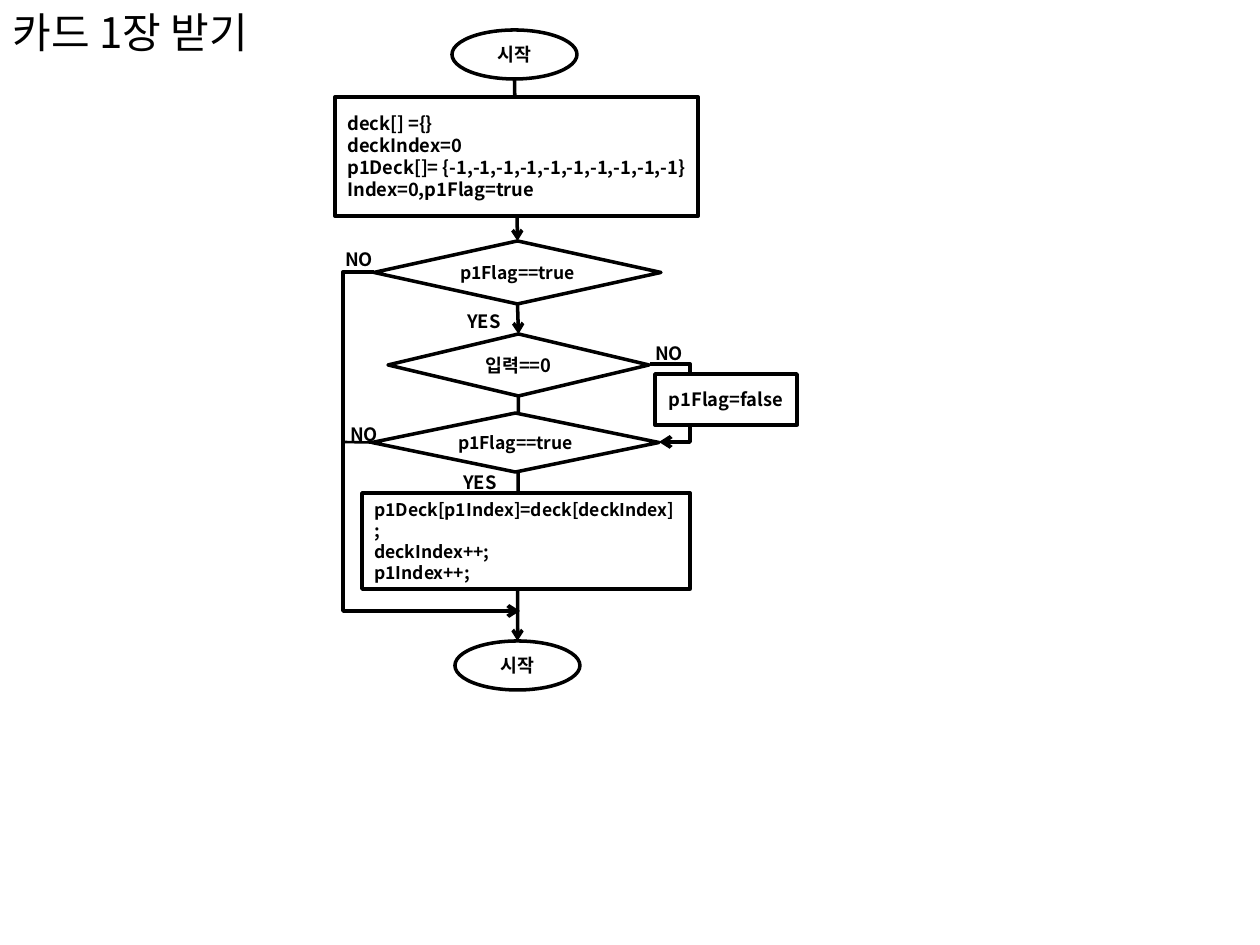
"""Build a flowchart slide for drawing one card."""
import pptx
import pptx.dml.color
import pptx.enum.shapes
import pptx.enum.text
import pptx.oxml
import pptx.oxml.ns
import pptx.util

BLACK = pptx.dml.color.RGBColor(0, 0, 0)
WHITE = pptx.dml.color.RGBColor(255, 255, 255)
FONT = "Noto Sans CJK KR"
SCALE = 914400 / 126
KIND = pptx.enum.shapes.MSO_SHAPE
LINK = pptx.enum.shapes.MSO_CONNECTOR
ALIGN = pptx.enum.text.PP_ALIGN
ANCHOR = pptx.enum.text.MSO_ANCHOR
TOP, LEFT, BOTTOM = 0, 1, 2


def px(*sizes):
    return [pptx.util.Emu(round(size * SCALE)) for size in sizes]


def node(tag, **attrs):
    item = pptx.oxml.parse_xml(f"<a:{tag} {pptx.oxml.ns.nsdecls('a')}/>")
    for name, value in attrs.items():
        item.set(name, value)
    return item


def write(shape, text, size=10.5, bold=True, align=ALIGN.LEFT, anchor=ANCHOR.TOP):
    frame = shape.text_frame
    frame.text = text
    frame.word_wrap = True
    frame.auto_size = pptx.enum.text.MSO_AUTO_SIZE.NONE
    frame.vertical_anchor = anchor
    for para in frame.paragraphs:
        para.alignment = align
        for run in para.runs:
            font = run.font
            font.size = pptx.util.Pt(size)
            font.bold = bold
            font.color.rgb = BLACK
            font.name = FONT
            run._r.get_or_add_rPr().append(node("ea", typeface=FONT))


def label(slide, text, x, y, width):
    write(slide.shapes.add_textbox(*px(x, y, width, 37)), text)


def box(slide, kind, text, place, fill=WHITE, width=2, size=10.5, align=ALIGN.CENTER):
    shape = slide.shapes.add_shape(kind, *px(*place))
    shape.shadow.inherit = False
    if fill is None:
        shape.fill.background()
    else:
        shape.fill.solid()
        shape.fill.fore_color.rgb = fill
    shape.line.color.rgb = BLACK
    shape.line.width = pptx.util.Pt(width)
    write(shape, text, size=size, align=align, anchor=ANCHOR.MIDDLE)
    return shape


def link(slide, kind=LINK.STRAIGHT, ends=(0, 0, 0, 0), width=2, arrow=True):
    line = slide.shapes.add_connector(kind, *px(*ends))
    line.line.color.rgb = BLACK
    line.line.width = pptx.util.Pt(width)
    if arrow:
        line.line._get_or_add_ln().append(node("tailEnd", type="arrow"))
    line._element.spPr.append(node("effectLst"))
    return line


def flow(slide, start, end):
    line = link(slide)
    line.begin_connect(start, BOTTOM)
    line.end_connect(end, TOP)


def bend(slide, ends, turn):
    line = link(slide, LINK.ELBOW, ends, width=2.25)
    ratio = (turn - ends[0]) / (ends[2] - ends[0])
    guides = line._element.spPr.prstGeom.get_or_add_avLst()
    guides.append(node("gd", name="adj1", fmla=f"val {round(ratio * 100000)}"))


def main():
    deck = pptx.Presentation()
    deck.slide_width, deck.slide_height = px(1260, 945)
    slide = deck.slides.add_slide(deck.slide_layouts[5])
    title = slide.shapes.title
    title.left, title.top, title.width, title.height = px(0, 0, 387, 63)
    write(title, "카드 1장 받기", size=24, bold=False)

    start = box(slide, KIND.OVAL, "시작", (452, 30, 125, 49), fill=None)
    flag = box(slide, KIND.FLOWCHART_DECISION, "p1Flag==true",
               (374, 241, 287, 63), fill=None, size=10)
    flow(slide, start, flag)
    box(slide, KIND.FLOWCHART_PROCESS,
        "deck[] ={}\ndeckIndex=0\n"
        "p1Deck[]= {-1,-1,-1,-1,-1,-1,-1,-1,-1,-1}\n"
        "Index=0,p1Flag=true",
        (335, 97, 363, 119), width=2.25, align=ALIGN.LEFT)

    entry = box(slide, KIND.FLOWCHART_DECISION, "입력==0", (388, 334, 261, 62))
    flow(slide, flag, entry)
    end = box(slide, KIND.OVAL, "시작", (455, 641, 125, 49), fill=None)
    flow(slide, entry, end)
    check = box(slide, KIND.FLOWCHART_DECISION, "p1Flag==true",
                (372, 413, 287, 59), size=10)
    box(slide, KIND.FLOWCHART_PROCESS,
        "p1Deck[p1Index]=deck[deckIndex];\ndeckIndex++;\np1Index++;",
        (362, 493, 328, 96), size=10, align=ALIGN.LEFT)

    bend(slide, (650, 364, 659, 442), 690)
    box(slide, KIND.FLOWCHART_PROCESS, "p1Flag=false", (655, 374, 142, 51))
    bend(slide, (374, 272, 520, 611), 343)
    skip = link(slide, ends=(372, 442, 343, 442), width=1.5, arrow=False)
    skip.begin_connect(check, LEFT)

    for x, y in ((333, 242), (643, 336), (338, 417)):
        label(slide, "NO", x, y, 116)
    for x, y in ((455, 304), (451, 465)):
        label(slide, "YES", x, y, 95)
    deck.save("out.pptx")


if __name__ == "__main__":
    main()
